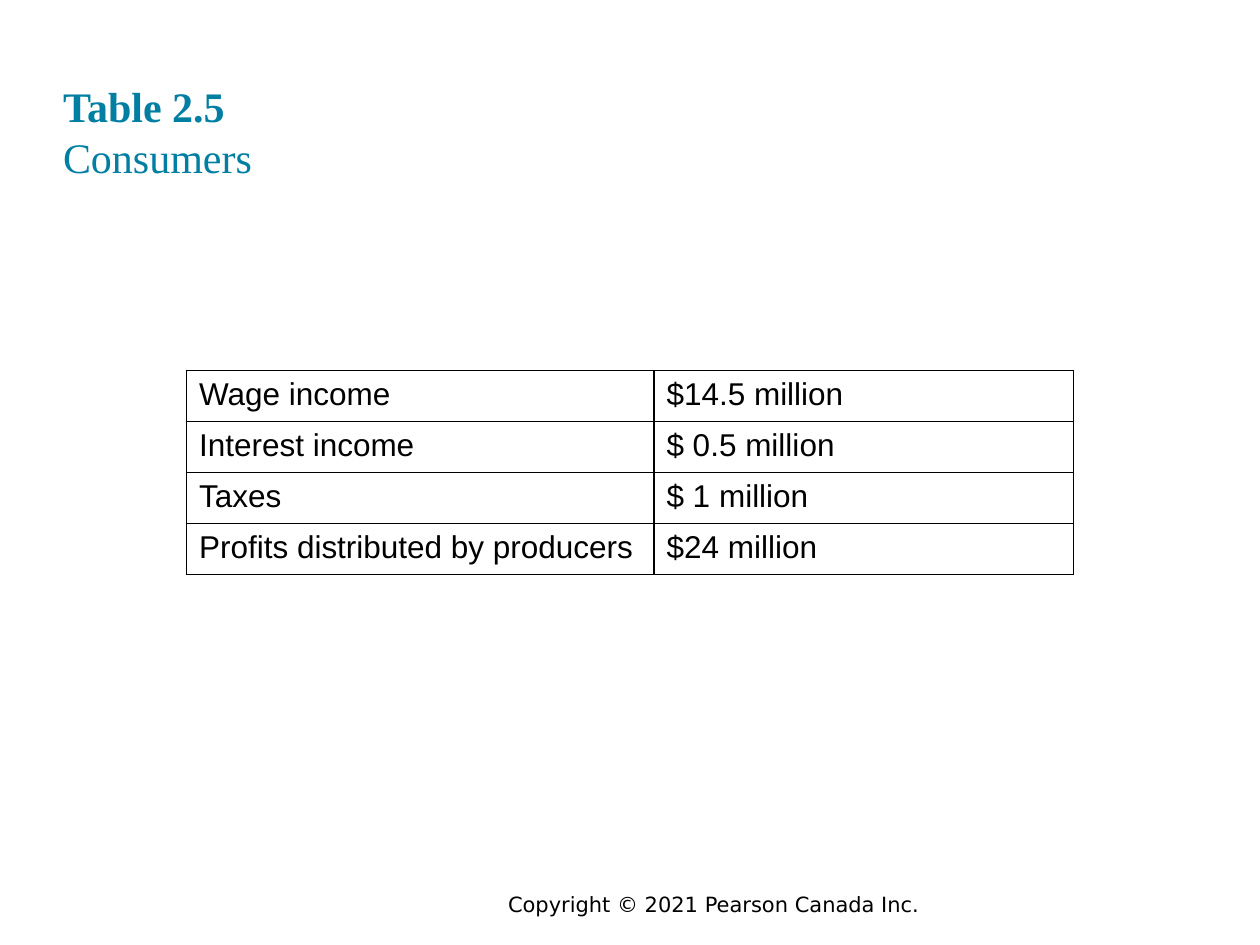
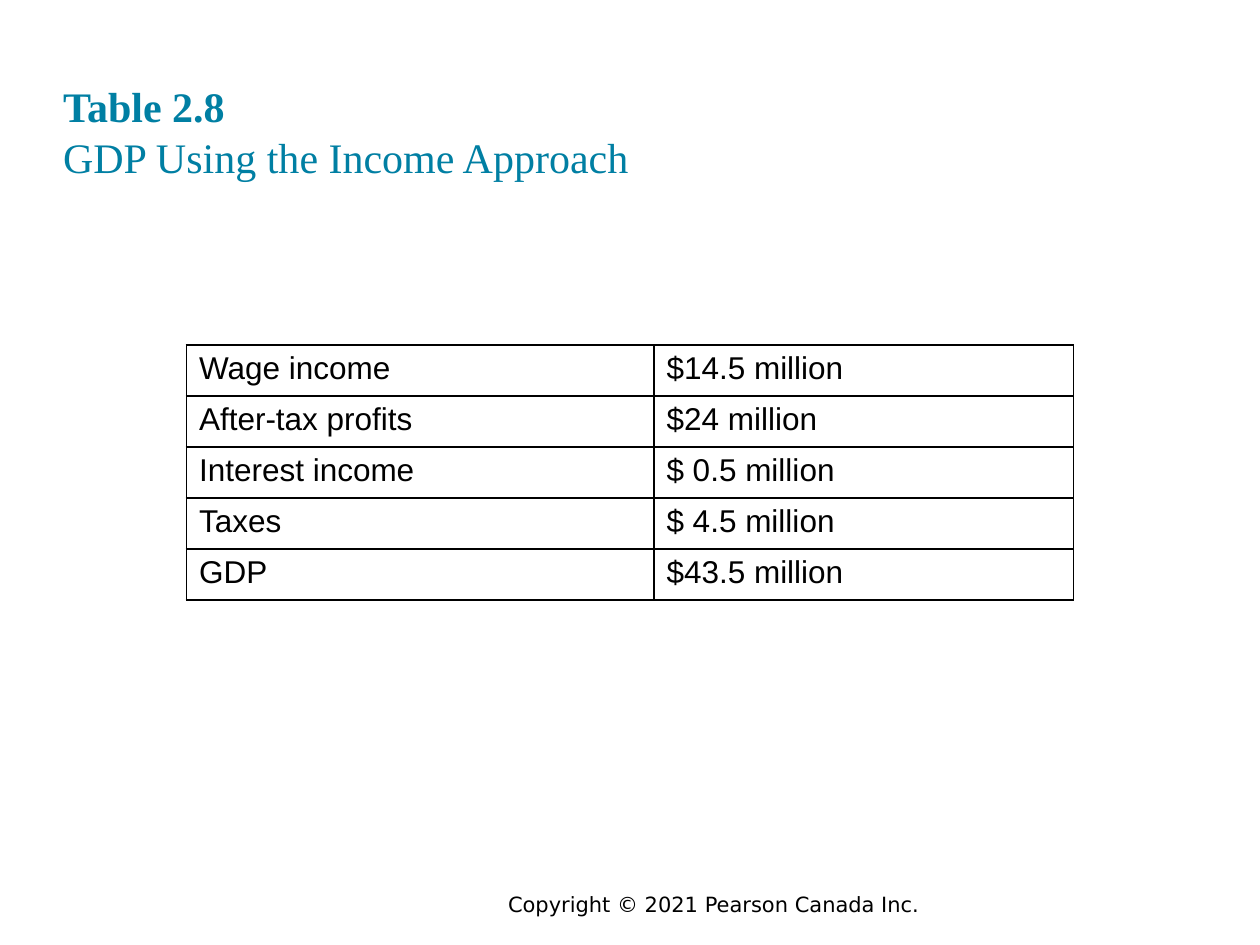
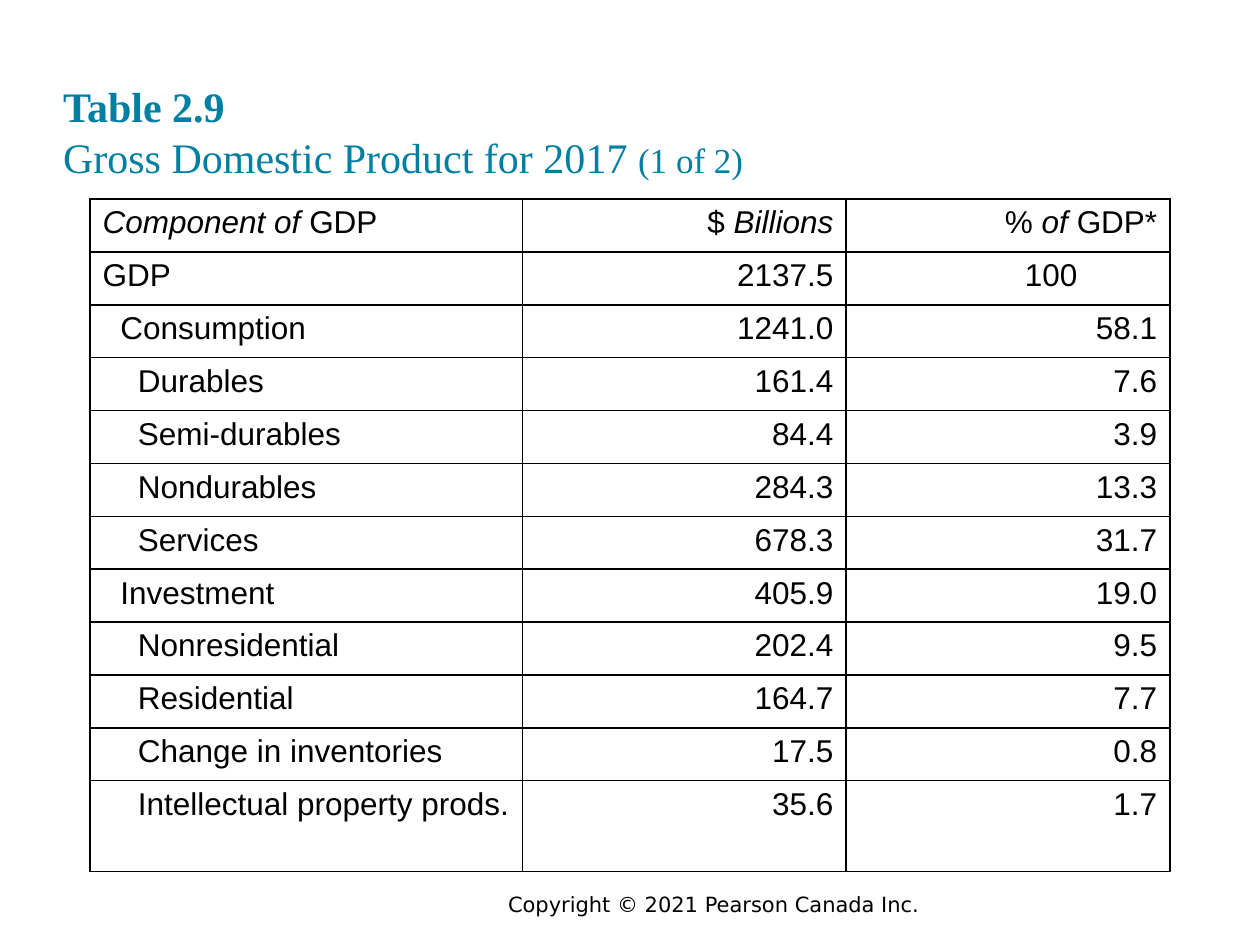
"""Build three slides of national accounts tables with a shared title style and footer."""
from dataclasses import dataclass

from lxml.etree import SubElement
from pptx import Presentation
from pptx.dml.color import RGBColor
from pptx.enum.text import MSO_ANCHOR, MSO_AUTO_SIZE, PP_ALIGN
from pptx.oxml.ns import qn
from pptx.util import Inches, Pt


@dataclass(frozen=True)
class Theme:
    teal: RGBColor = RGBColor(0x00, 0x7F, 0xA3)
    black: RGBColor = RGBColor(0x00, 0x00, 0x00)
    title_font: str = "Times New Roman"
    table_font: str = "Arial"
    footer_font: str = "DejaVu Sans"
    title_size: int = 24
    part_size: int = 20
    table_size: int = 18
    footer_size: int = 12
    border: int = 1


theme = Theme()
WIDTH, HEIGHT = 10, 7.5
LEVEL_INDENT = 0.14
WHOLE_INDENT = 1.32


def write(paragraph, text, font=theme.table_font, size=theme.table_size,
          color=theme.black, bold=False, align=PP_ALIGN.LEFT):
    """Add text to a paragraph; words between underscores are italic."""
    paragraph.alignment = align
    for position, words in enumerate(text.split("_")):
        if words:
            run = paragraph.add_run()
            run.text = words
            run.font.name, run.font.size = font, Pt(size)
            run.font.bold, run.font.italic = bold, position % 2 == 1
            run.font.color.rgb = color


def draw_borders(cell):
    """Draw a thin black line on each side of a cell."""
    properties = cell._tc.get_or_add_tcPr()
    for side in ("lnL", "lnR", "lnT", "lnB"):
        line = SubElement(properties, qn(f"a:{side}"), w=str(Pt(theme.border)))
        fill = SubElement(line, qn("a:solidFill"))
        SubElement(fill, qn("a:srgbClr"), val=str(theme.black))
    cell.fill.background()


consumers = [
    (0, "Wage income", "$14.5 million"),
    (0, "Interest income", "$ 0.5 million"),
    (0, "Taxes", "$ 1 million"),
    (0, "Profits distributed by producers", "$24 million"),
]
income_approach = [
    (0, "Wage income", "$14.5 million"),
    (0, "After-tax profits", "$24 million"),
    (0, "Interest income", "$ 0.5 million"),
    (0, "Taxes", "$ 4.5 million"),
    (0, "GDP", "$43.5 million"),
]
gdp_components = [
    (0, "_Component of _GDP", "$ _Billions_", "% _of _GDP*"),
    (0, "GDP", "2137.5", "100"),
    (1, "Consumption", "1241.0", "58.1"),
    (2, "Durables", "161.4", "7.6"),
    (2, "Semi-durables", "84.4", "3.9"),
    (2, "Nondurables", "284.3", "13.3"),
    (2, "Services", "678.3", "31.7"),
    (1, "Investment", "405.9", "19.0"),
    (2, "Nonresidential", "202.4", "9.5"),
    (2, "Residential", "164.7", "7.7"),
    (2, "Change in inventories", "17.5", "0.8"),
    (2, "Intellectual property prods.", "35.6", "1.7"),
]
pages = [
    ("Table 2.5", "Consumers", "", consumers,
     (3.71, 3.33), [0.405] * 4, None, PP_ALIGN.LEFT),
    ("Table 2.8", "GDP Using the Income Approach", "", income_approach,
     (3.71, 3.33), [0.405] * 5, None, PP_ALIGN.LEFT),
    ("Table 2.9", "Gross Domestic Product for 2017 ", "(1 of 2)", gdp_components,
     (3.43, 2.57, 2.57), [0.42] * 11 + [0.72], 1.58, PP_ALIGN.RIGHT),
]

deck = Presentation()
deck.slide_width, deck.slide_height = Inches(WIDTH), Inches(HEIGHT)
title_only = deck.slide_layouts[5]

for number, name, part, entries, widths, heights, top, figure_align in pages:
    slide = deck.slides.add_slide(title_only)

    title = slide.shapes.title
    title.left, title.top = Inches(WIDTH * 0.05), Inches(0.24)
    title.width, title.height = Inches(WIDTH * 0.9), Inches(1.2)
    heading = title.text_frame
    heading.auto_size = MSO_AUTO_SIZE.NONE
    heading.vertical_anchor = MSO_ANCHOR.BOTTOM
    heading.margin_left = heading.margin_right = 0
    heading.margin_top = heading.margin_bottom = 0
    caption = heading.paragraphs[0]
    write(caption, number, theme.title_font, theme.title_size, theme.teal, bold=True)
    caption.add_line_break()
    write(caption, name, theme.title_font, theme.title_size, theme.teal)
    write(caption, part, theme.title_font, theme.part_size, theme.teal)

    if top is None:
        top = (HEIGHT - sum(heights)) / 2
    table = slide.shapes.add_table(
        len(heights), len(widths), Inches((WIDTH - sum(widths)) / 2), Inches(top),
        Inches(sum(widths)), Inches(sum(heights))).table
    table.first_row = table.horz_banding = False
    for column, width in zip(table.columns, widths):
        column.width = Inches(width)
    for row, height, (level, *texts) in zip(table.rows, heights, entries):
        row.height = Inches(height)
        for index, (cell, text) in enumerate(zip(row.cells, texts)):
            draw_borders(cell)
            entry = cell.text_frame.paragraphs[0]
            is_whole = text == "100"
            is_label = index == 0
            write(entry, text, align=PP_ALIGN.LEFT if is_label or is_whole else figure_align)
            if is_label and level:
                entry._p.get_or_add_pPr().set("marL", str(Inches(level * LEVEL_INDENT)))
            if is_whole:
                entry._p.get_or_add_pPr().set("indent", str(Inches(WHOLE_INDENT)))

    footer = slide.shapes.add_textbox(Inches(1.75), Inches(7.03), Inches(7.83), Inches(0.3))
    footer.text_frame.word_wrap = True
    write(footer.text_frame.paragraphs[0], "Copyright © 2021 Pearson Canada Inc.",
          theme.footer_font, theme.footer_size, align=PP_ALIGN.CENTER)

deck.save("out.pptx")
